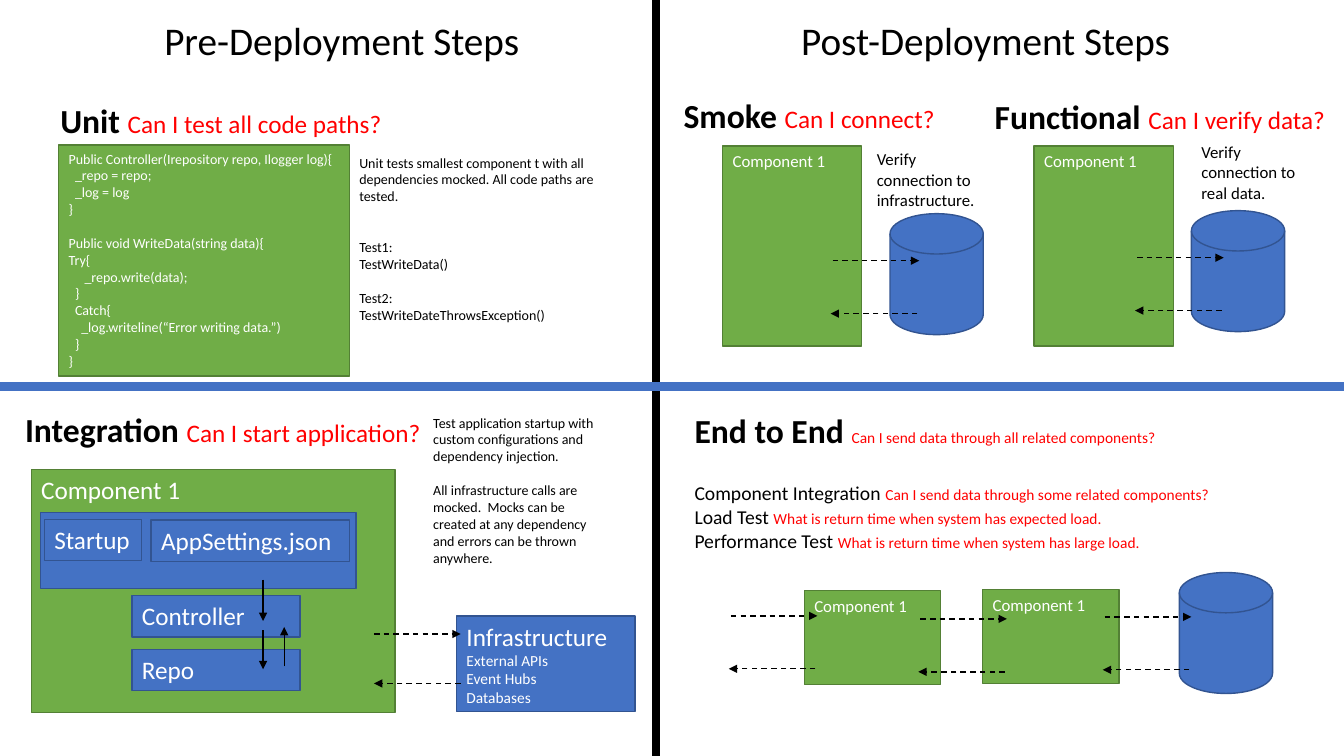
from dataclasses import dataclass
from pptx import Presentation
from pptx.dml.color import RGBColor as Rgb
from pptx.enum.dml import MSO_LINE as Dash
from pptx.enum.shapes import MSO_CONNECTOR as Link, MSO_SHAPE as Kind
from pptx.enum.text import MSO_ANCHOR as Anchor, MSO_AUTO_SIZE as Fit, PP_ALIGN as Align
from pptx.oxml.ns import qn
from pptx.oxml.xmlchemy import OxmlElement as Node
from pptx.util import Emu, Pt

COLS, ROWS, CELL = 80, 45, 152400


@dataclass(frozen=True)
class Theme:
    font: str = "Calibri"
    black: str = "000000"
    white: str = "FFFFFF"
    red: str = "FF0000"
    blue: str = "4472C4"
    navy: str = "325491"
    green: str = "70AD47"
    moss: str = "538035"
    title: int = 28
    head: int = 24
    large: int = 18
    item: int = 14
    label: int = 12
    small: int = 11
    note: int = 10
    thin: int = 1
    thick: int = 6


@dataclass
class Para:
    text: str
    size: int = 0
    gap: float = 0
    indent: float = 0
    ask: str = ""
    asksize: int = 0
    bold: bool = False


def cells(*nums):
    return [Emu(round(num * CELL)) for num in nums]


class Board:
    def __init__(self, slide, theme):
        self.slide, self.theme = slide, theme

    def style(self, font, size, color, bold=False):
        font.name, font.size, font.bold = self.theme.font, Pt(size), bold
        font.color.rgb = Rgb.from_string(color)

    def words(self, shape, paras, size, color):
        frame = shape.text_frame
        frame.word_wrap, frame.auto_size = True, Fit.NONE
        frame.vertical_anchor = Anchor.TOP
        for i, item in enumerate(paras):
            para = item if isinstance(item, Para) else Para(item)
            line = frame.paragraphs[0] if i == 0 else frame.add_paragraph()
            line.alignment = Align.LEFT
            line.space_before, line.space_after = Pt(para.gap), Pt(0)
            props = line._p.get_or_add_pPr()
            props.set("marL", str(Pt(para.indent)))
            props.set("indent", "0")
            props.append(Node("a:buNone"))
            lead = line.add_run()
            lead.text = para.text
            if para.ask:
                self.style(lead.font, para.size or size, color, para.bold)
                ask = line.add_run()
                ask.text = para.ask
                self.style(ask.font, para.asksize, self.theme.red)
            else:
                self.style(line.font, para.size or size, color, para.bold)

    def text(self, x, y, w, h, paras, size):
        shape = self.slide.shapes.add_textbox(*cells(x, y, w, h))
        self.words(shape, paras, size, self.theme.black)

    def hold(self, spot, x, y, w, h, paras, size):
        spot.left, spot.top, spot.width, spot.height = cells(x, y, w, h)
        self.words(spot, paras, size, self.theme.black)

    def head(self, x, y, w, name, ask):
        theme = self.theme
        para = Para(name + " ", ask=ask, asksize=theme.large, bold=True)
        self.text(x, y, w, 3, [para], theme.head)

    def shape(self, kind, x, y, w, h, fill, edge, paras=(), size=0):
        shape = self.slide.shapes.add_shape(kind, *cells(x, y, w, h))
        shape.shadow.inherit = False
        shape.fill.solid()
        shape.fill.fore_color.rgb = Rgb.from_string(fill)
        shape.line.color.rgb = Rgb.from_string(edge)
        shape.line.width = Pt(self.theme.thin)
        self.words(shape, paras, size, self.theme.white)

    def green(self, x, y, w, h, paras, size):
        self.shape(Kind.RECTANGLE, x, y, w, h, self.theme.green, self.theme.moss, paras, size)

    def blue(self, x, y, w, h, paras=()):
        self.shape(Kind.RECTANGLE, x, y, w, h, self.theme.blue, self.theme.navy,
                   paras, self.theme.large)

    def disk(self, x, y):
        self.shape(Kind.FLOWCHART_MAGNETIC_DISK, x, y, 5.55, 7.2,
                   self.theme.blue, self.theme.navy)

    def rule(self, x1, y1, x2, y2, color, width):
        line = self.slide.shapes.add_connector(Link.STRAIGHT, *cells(x1, y1, x2, y2))
        line.line.color.rgb = Rgb.from_string(color)
        line.line.width = Pt(width)
        line._element.spPr.append(Node("a:effectLst"))
        return line

    def arrow(self, x1, y1, x2, y2, dash=False):
        line = self.rule(x1, y1, x2, y2, self.theme.black, self.theme.thin)
        if dash:
            line.line.dash_style = Dash.DASH
        tip = Node("a:tailEnd")
        tip.set("type", "triangle")
        line._element.spPr.find(qn("a:ln")).append(tip)

    def swap(self, x, y, drop=3.15, shift=0.12):
        span = 5.16
        self.arrow(x, y, x + span, y, True)
        self.arrow(x + span - shift, y + drop, x - shift, y + drop, True)


def main():
    deck = Presentation()
    deck.slide_width, deck.slide_height = cells(COLS, ROWS)
    slide = deck.slides.add_slide(deck.slide_layouts[1])
    theme = Theme()
    board = Board(slide, theme)
    title, body = slide.placeholders

    board.rule(39.06, 0, 39.06, ROWS, theme.black, theme.thick)
    board.rule(0, 23, COLS, 23, theme.blue, theme.thick)
    board.hold(title, 9.18, 0.66, 25.9, 3.4, ["Pre-Deployment Steps"], theme.title)
    board.text(47.1, 0.66, 25.9, 3.4, ["Post-Deployment Steps"], theme.title)

    for x, y, w, name, ask in (
        (3, 5.65, 25.3, "Unit", "Can I test all code paths?"),
        (0.9, 24.06, 25.1, "Integration", "Can I start application?"),
        (40.1, 5.35, 18.2, "Smoke", "Can I connect?"),
        (58.62, 5.4, 21.1, "Functional", "Can I verify data?"),
    ):
        board.head(x, y, w, name, ask)

    board.green(3.5, 8.64, 17.3, 13.75, [
        "Public Controller(Irepository repo, Ilogger log){",
        Para("_repo = repo;", indent=4.5),
        Para("_log = log", indent=4.5),
        "}",
        Para("Public void WriteData(string data){", gap=12.2),
        "Try{",
        Para("_repo.write(data);", indent=11.3),
        Para("}", indent=4.5),
        Para("Catch{", indent=4.5),
        Para("_log.writeline(“Error writing data.”)", indent=9),
        Para("}", indent=4.5),
        "}",
    ], theme.note)
    board.text(20.8, 8.88, 17.3, 10.7, [
        "Unit tests smallest component t with all dependencies mocked. "
        "All code paths are tested.",
        Para("Test1:", gap=24.4),
        "TestWriteData()",
        Para("Test2:", gap=12.2),
        "TestWriteDateThrowsException()",
    ], theme.note)

    board.green(1.86, 27.96, 21.65, 14.45, ["Component 1"], theme.large)
    board.blue(2.4, 30.5, 18.8, 4.55)
    for x, y, w, name in (
        (2.64, 30.92, 5.78, "Startup"),
        (9, 30.96, 11.82, "AppSettings.json"),
        (7.86, 35.46, 10, "Controller"),
        (7.86, 38.65, 10, "Repo"),
    ):
        board.blue(x, y, w, 2.46, [name])
    board.arrow(15.66, 34.5, 15.66, 36.96)
    board.arrow(15.66, 37.5, 15.66, 39.84)
    board.arrow(16.92, 39.66, 16.92, 37.32)
    board.text(25.2, 24.36, 11.3, 10.7, [
        "Test application startup with custom configurations and dependency injection.",
        Para("All infrastructure calls are mocked.  Mocks can be created at any "
             "dependency and errors can be thrown anywhere.", gap=12.2),
    ], theme.note)
    parts = ("External APIs", "Event Hubs", "Databases")
    board.blue(27.18, 36.66, 10.62, 5.7,
               ["Infrastructure"] + [Para(part, theme.small) for part in parts])
    board.swap(22.26, 37.74, 2.94, 0)

    for x, dx, dy, tx, ty, ax, note in (
        (43.02, 52.98, 12.72, 51.6, 8.58, 49.56, "Verify connection to infrastructure."),
        (61.56, 70.92, 12.54, 70.92, 8.16, 67.68, "Verify connection to real data."),
    ):
        board.green(x, 8.7, 8.28, 11.9, ["Component 1"], theme.label)
        board.disk(dx, dy)
        board.swap(ax, dy + 2.8)
        board.text(tx, ty, 8.28, 5.46, [note], theme.label)

    board.hold(body, 40.74, 24.12, 38.94, 9.06, [
        Para("End to End ", theme.head, bold=True, asksize=theme.small,
             ask="Can I send data through all related components?"),
        Para("Component Integration ", gap=22, asksize=theme.small,
             ask="Can I send data through some related components?"),
        Para("Load Test ", asksize=theme.small,
             ask="What is return time when system has expected load."),
        Para("Performance Test ", asksize=theme.small,
             ask="What is return time when system has large load."),
    ], theme.item)
    for x, y in ((47.88, 35.16), (58.5, 35.1)):
        board.green(x, y, 8.1, 5.6, ["Component 1"], theme.label)
    board.disk(70.2, 34.08)
    for x, y in ((43.5, 36.66), (54.78, 36.84), (65.76, 36.72)):
        board.swap(x, y)

    deck.save("out.pptx")


if __name__ == "__main__":
    main()
